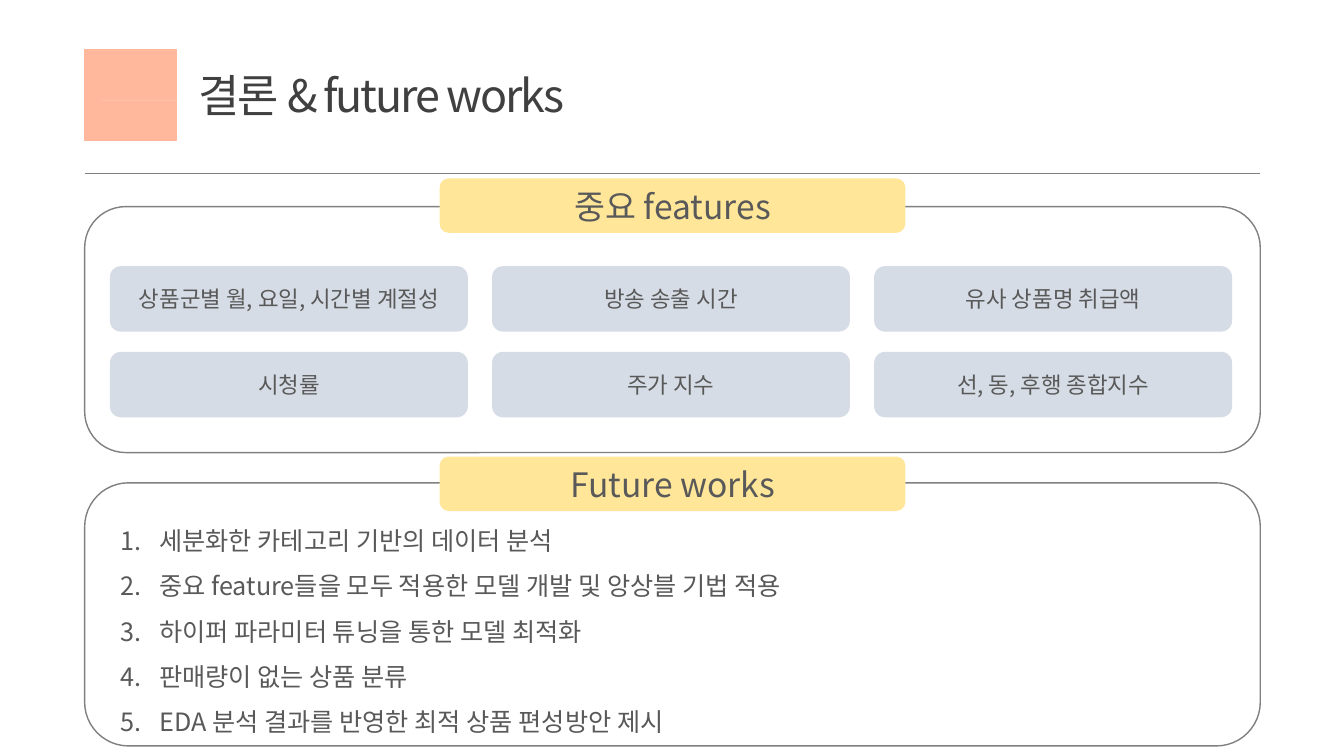
import math
from dataclasses import dataclass

import lxml.etree
import pptx
import pptx.dml.color
import pptx.enum.shapes
import pptx.enum.text
import pptx.oxml.ns
import pptx.util

Inches = pptx.util.Inches
Pt = pptx.util.Pt
qn = pptx.oxml.ns.qn
Align = pptx.enum.text.PP_ALIGN
Anchor = pptx.enum.text.MSO_ANCHOR
Kind = pptx.enum.shapes.MSO_SHAPE

FONT = "Noto Sans CJK KR"
COLORS = {
    "title": "404040",
    "text": "595959",
    "line": "808080",
    "icon": "FFB89B",
    "white": "FFFFFF",
    "label": "FFE699",
    "card": "D6DCE5",
}
LEFT, WIDTH = 0.84, 11.66


@dataclass
class Box:
    left: float
    top: float
    width: float
    height: float
    fill: str = ""
    line: str = ""
    text: str = ""
    size: int = 16
    kind: int = Kind.ROUNDED_RECTANGLE


@dataclass
class Panel:
    top: float
    height: float
    tab: float
    title: str


PANELS = [
    Panel(2.05, 2.44, 1.77, "중요 features"),
    Panel(4.79, 2.61, 4.53, "Future works"),
]
CARDS = [
    ["상품군별 월, 요일, 시간별 계절성", "방송 송출 시간", "유사 상품명 취급액"],
    ["시청률", "주가 지수", "선, 동, 후행 종합지수"],
]
WORKS = [
    "세분화한 카테고리 기반의 데이터 분석",
    "중요 feature들을 모두 적용한 모델 개발 및 앙상블 기법 적용",
    "하이퍼 파라미터 튜닝을 통한 모델 최적화",
    "판매량이 없는 상품 분류",
    "EDA 분석 결과를 반영한 최적 상품 편성방안 제시",
]
PULSE = [
    (1.05, 0.9), (1.08, 0.9), (1.1, 0.85), (1.11, 0.85), (1.13, 0.88),
    (1.15, 0.77), (1.17, 0.77), (1.19, 0.88), (1.22, 0.82), (1.23, 0.82),
    (1.25, 0.89), (1.27, 0.86), (1.28, 0.86), (1.3, 0.9), (1.37, 0.9),
    (1.37, 0.92), (1.28, 0.92), (1.27, 0.89), (1.25, 0.91), (1.24, 0.91),
    (1.22, 0.85), (1.2, 0.91), (1.18, 0.91), (1.16, 0.81), (1.14, 0.91),
    (1.12, 0.91), (1.1, 0.87), (1.09, 0.92), (1.05, 0.92),
]
HANDLE = [(1.43, 1.03), (1.61, 1.22), (1.56, 1.27), (1.37, 1.09)]


def rgb(name: str) -> pptx.dml.color.RGBColor:
    return pptx.dml.color.RGBColor.from_string(COLORS[name])


def style(para, size: int, color: str, align=Align.LEFT) -> None:
    para.alignment = align
    para.font.size = Pt(size)
    para.font.name = FONT
    para.font.color.rgb = rgb(color)
    props = para._p.pPr.find(qn("a:defRPr"))
    lxml.etree.SubElement(props, qn("a:ea"), typeface=FONT)


def paint(shape, fill: str, line: str) -> None:
    shape.shadow.inherit = False
    if fill:
        shape.fill.solid()
        shape.fill.fore_color.rgb = rgb(fill)
    else:
        shape.fill.background()
    if line:
        shape.line.color.rgb = rgb(line)
        shape.line.width = Pt(1)
    else:
        shape.line.fill.background()


def place(shape, left: float, top: float, width: float, height: float) -> None:
    shape.left, shape.top = Inches(left), Inches(top)
    shape.width, shape.height = Inches(width), Inches(height)
    shape.text_frame.word_wrap = True
    shape.text_frame.auto_size = pptx.enum.text.MSO_AUTO_SIZE.NONE


def draw_box(slide, box: Box) -> None:
    shape = slide.shapes.add_shape(
        box.kind, Inches(box.left), Inches(box.top),
        Inches(box.width), Inches(box.height))
    paint(shape, box.fill, box.line)
    if box.text:
        frame = shape.text_frame
        frame.vertical_anchor = Anchor.MIDDLE
        frame.text = box.text
        style(frame.paragraphs[0], box.size, "text", Align.CENTER)


def draw_title(slide) -> None:
    title = slide.shapes.title
    place(title, 1.87, 0.62, 7.73, 0.64)
    title.text_frame.vertical_anchor = Anchor.MIDDLE
    title.text_frame.text = "결론 & future works"
    para = title.text_frame.paragraphs[0]
    style(para, 32, "title")
    para._p.pPr.find(qn("a:defRPr")).set("spc", "-150")


def draw_rule(slide) -> None:
    rule = slide.shapes.add_connector(
        pptx.enum.shapes.MSO_CONNECTOR.STRAIGHT,
        Inches(LEFT), Inches(1.72), Inches(LEFT + WIDTH), Inches(1.72))
    rule.line.color.rgb = rgb("line")
    rule.line.width = Pt(0.75)
    lxml.etree.SubElement(rule._element.spPr, qn("a:effectLst"))


def ring(radius: float, steps: int = 48) -> list[tuple[float, float]]:
    turns = [2 * math.pi * step / steps for step in range(steps)]
    return [(1.21 + radius * math.cos(turn), 0.86 + radius * math.sin(turn))
            for turn in turns]


def draw_icon(slide) -> None:
    draw_box(slide, Box(LEFT, 0.49, 0.91, 0.9, "icon", "icon",
                        kind=Kind.RECTANGLE))
    paths = [HANDLE, ring(0.24), ring(0.18)[::-1], PULSE]
    pen = slide.shapes.build_freeform(*paths[0][0], scale=Inches(1))
    for index, path in enumerate(paths):
        if index:
            pen.move_to(*path[0])
        pen.add_line_segments(path[1:], close=True)
    paint(pen.convert_to_shape(), "white", "")


def draw_list(slide) -> None:
    body = slide.placeholders[1]
    place(body, 1.1, 5.01, 11.14, 2.37)
    frame = body.text_frame
    frame.vertical_anchor = Anchor.TOP
    frame.text = "\n".join(WORKS)
    for para in frame.paragraphs:
        para.line_spacing = 1.5
        para.space_before = Pt(0)
        style(para, 18, "text")
        props = para._p.pPr
        props.set("marL", str(Inches(0.38)))
        props.set("indent", str(-Inches(0.38)))
        mark = lxml.etree.Element(qn("a:buAutoNum"), type="arabicPeriod")
        font = lxml.etree.Element(qn("a:buFont"), typeface=FONT)
        run = props.find(qn("a:defRPr"))
        run.addprevious(font)
        run.addprevious(mark)


def main() -> None:
    deck = pptx.Presentation()
    deck.slide_width, deck.slide_height = Inches(13.33), Inches(7.5)
    slide = deck.slides.add_slide(deck.slide_layouts[1])
    draw_title(slide)
    draw_rule(slide)
    draw_icon(slide)
    for panel in PANELS:
        draw_box(slide, Box(LEFT, panel.top, WIDTH, panel.height, line="line"))
        draw_box(slide, Box(4.36, panel.tab, 4.62, 0.54, "label",
                            text=panel.title, size=24))
    for row, names in enumerate(CARDS):
        for col, name in enumerate(names):
            draw_box(slide, Box(1.09 + 3.79 * col, 2.64 + 0.85 * row,
                                3.55, 0.65, "card", text=name))
    draw_list(slide)
    deck.save("out.pptx")


if __name__ == "__main__":
    main()
